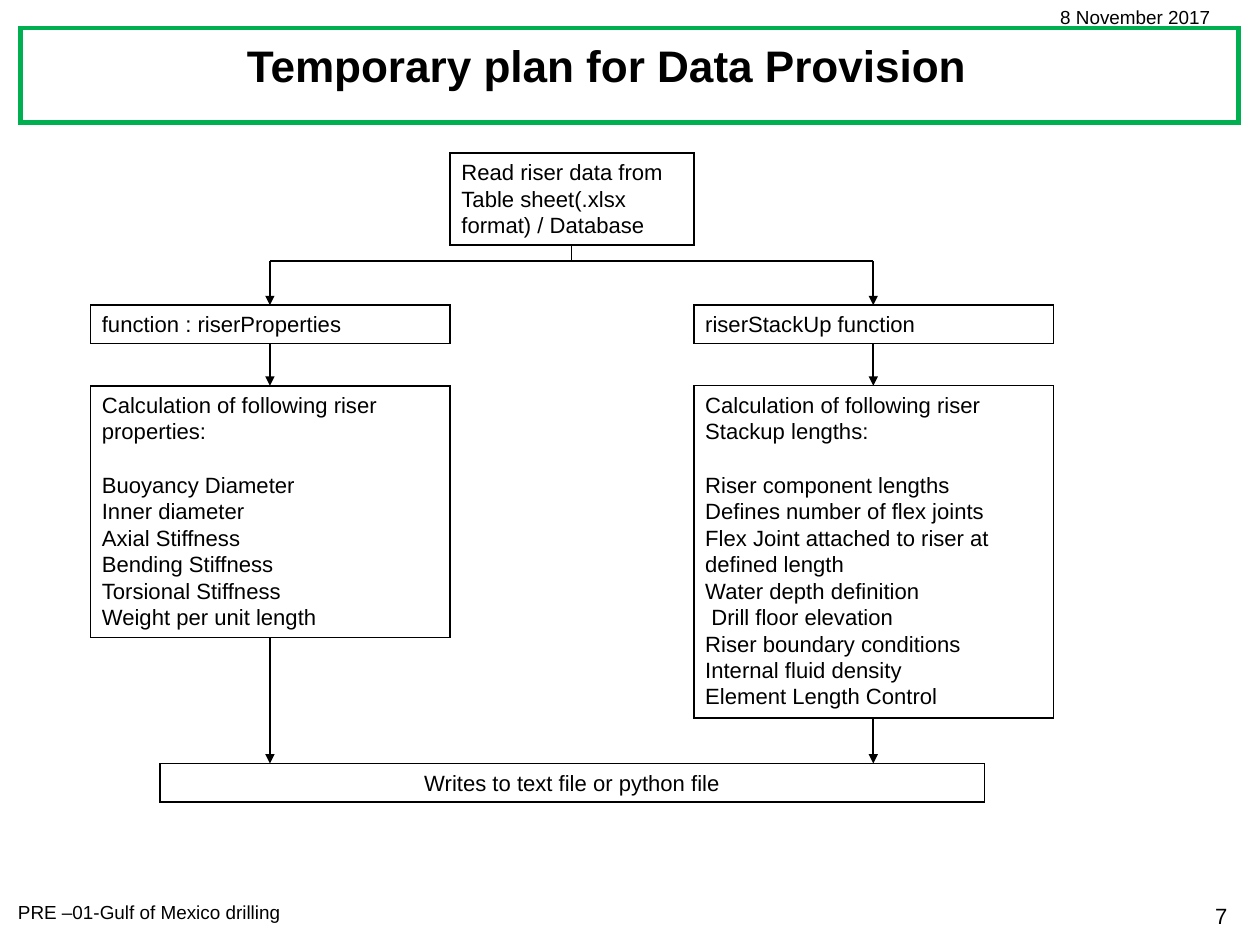
"""Build the slide showing the temporary plan for data provision."""
from lxml.etree import SubElement
from pptx import Presentation
from pptx.dml.color import RGBColor
from pptx.enum.shapes import MSO_CONNECTOR as Connector, MSO_SHAPE as Shape
from pptx.enum.text import MSO_ANCHOR as Anchor, PP_ALIGN as Align
from pptx.oxml.ns import qn
from pptx.util import Pt

EMU_PER_PX = 9144
BLACK = RGBColor(0x00, 0x00, 0x00)
WHITE = RGBColor(0xFF, 0xFF, 0xFF)
GREEN = RGBColor(0x00, 0xB0, 0x50)

LEFT_AXIS, CENTER_AXIS, RIGHT_AXIS = 238, 504, 770
BRANCH_WIDTH = 317
ROW_HEIGHT = 34
FUNCTION_TOP, DETAIL_TOP, OUTPUT_TOP = 269, 340, 673
SOURCE_TOP, SOURCE_BOTTOM, SPLIT_Y = 135, 216, 230

BRANCHES = [
    (LEFT_AXIS, "function : riserProperties", 222, [
        "Calculation of following riser properties:",
        "Buoyancy Diameter",
        "Inner diameter",
        "Axial Stiffness",
        "Bending Stiffness",
        "Torsional Stiffness",
        "Weight per unit length",
    ]),
    (RIGHT_AXIS, "riserStackUp function", 293, [
        "Calculation of following riser Stackup lengths:",
        "Riser component lengths",
        "Defines number of flex joints",
        "Flex Joint attached to riser at defined length",
        "Water depth definition",
        " Drill floor elevation",
        "Riser boundary conditions",
        "Internal fluid density",
        "Element Length Control",
    ]),
]


def px(*lengths):
    return [length * EMU_PER_PX for length in lengths]


def write_text(shape, lines, size, align=Align.LEFT, bold=False):
    frame = shape.text_frame
    frame.word_wrap = True
    frame.vertical_anchor = Anchor.TOP
    for index, line in enumerate(lines):
        paragraph = frame.add_paragraph() if index else frame.paragraphs[0]
        paragraph.alignment = align
        run = paragraph.add_run()
        run.text = line
        run.font.name = "Arial"
        run.font.size = Pt(size)
        run.font.bold = bold
        run.font.color.rgb = BLACK
    return frame


def add_label(slide, box, text, size, align=Align.LEFT, bold=False):
    label = slide.shapes.add_textbox(*px(*box))
    return write_text(label, [text], size, align, bold)


def add_frame(slide, box, color, weight):
    shape = slide.shapes.add_shape(Shape.RECTANGLE, *px(*box))
    shape.shadow.inherit = False
    shape.fill.background()
    shape.line.color.rgb = color
    shape.line.width = Pt(weight)
    SubElement(shape.line._get_or_add_ln(), qn("a:miter"), lim="800000")
    return shape


def add_step(slide, axis, top, width, height, lines, align=Align.LEFT):
    left = axis - width // 2
    shape = add_frame(slide, (left, top, width, height), BLACK, 1)
    frame = write_text(shape, lines, 14, align)
    if len(lines) > 1:
        frame.paragraphs[0].space_after = Pt(17)


def add_line(slide, start, end, arrow=False):
    line = slide.shapes.add_connector(Connector.STRAIGHT, *px(*start, *end))
    line.line.color.rgb = BLACK
    line.line.width = Pt(1)
    if arrow:
        SubElement(line.line._get_or_add_ln(), qn("a:tailEnd"), type="triangle")
    SubElement(line._element.spPr, qn("a:effectLst"))


def add_header_and_footer(slide):
    banner = add_frame(slide, (18, 25, 1074, 83), GREEN, 2.75)
    banner.fill.solid()
    banner.fill.fore_color.rgb = WHITE
    add_label(slide, (940, 791, 152, 34), "7", 14, Align.RIGHT)
    add_label(slide, (6, 789, 428, 30), "PRE –01-Gulf of Mexico drilling", 12)
    add_label(slide, (925, 0, 168, 30), "8 November 2017", 12)
    title = add_label(slide, (0, 31, 1069, 59),
                      "Temporary plan for Data Provision", 28, Align.CENTER, True)
    title.vertical_anchor = Anchor.MIDDLE
    title.paragraphs[0].line_spacing = 0.9


def add_branch(slide, axis, function, detail_height, details):
    add_step(slide, axis, FUNCTION_TOP, BRANCH_WIDTH, ROW_HEIGHT, [function])
    add_step(slide, axis, DETAIL_TOP, BRANCH_WIDTH, detail_height, details)
    add_line(slide, (CENTER_AXIS, SPLIT_Y), (axis, SPLIT_Y))
    for top, bottom in [
        (SPLIT_Y, FUNCTION_TOP),
        (FUNCTION_TOP + ROW_HEIGHT, DETAIL_TOP),
        (DETAIL_TOP + detail_height, OUTPUT_TOP),
    ]:
        add_line(slide, (axis, top), (axis, bottom), arrow=True)


def main():
    presentation = Presentation()
    presentation.slide_width, presentation.slide_height = px(1111, 833)
    slide = presentation.slides.add_slide(presentation.slide_layouts[6])
    add_header_and_footer(slide)
    add_step(slide, CENTER_AXIS, SOURCE_TOP, 215, SOURCE_BOTTOM - SOURCE_TOP,
             ["Read riser data from Table sheet(.xlsx format) / Database"])
    add_line(slide, (CENTER_AXIS, SOURCE_BOTTOM), (CENTER_AXIS, SPLIT_Y))
    for branch in BRANCHES:
        add_branch(slide, *branch)
    add_step(slide, CENTER_AXIS, OUTPUT_TOP, 727, ROW_HEIGHT,
             ["Writes to text file or python file"], Align.CENTER)
    presentation.save("out.pptx")


if __name__ == "__main__":
    main()
